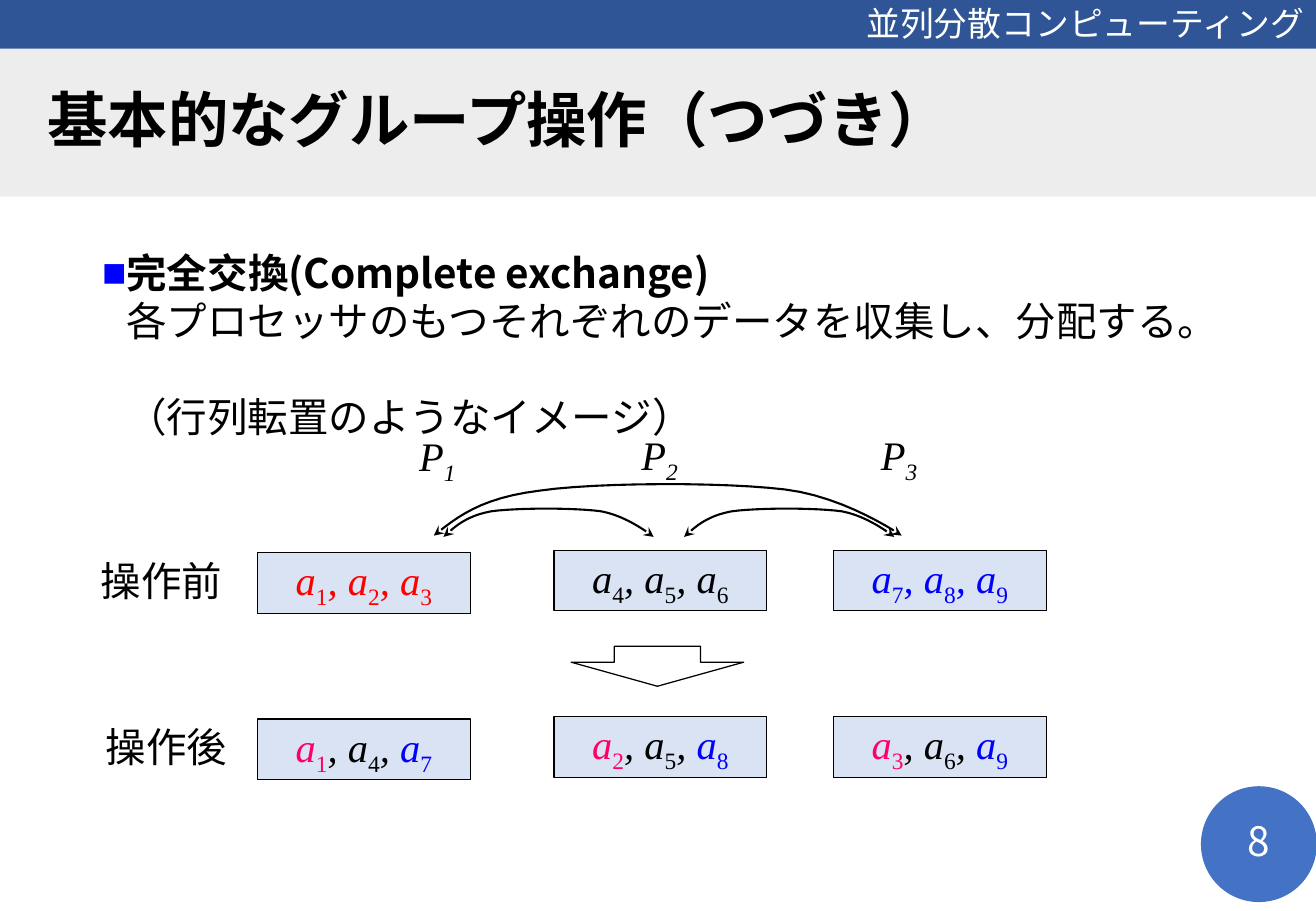
from lxml.etree import SubElement
from pptx import Presentation
from pptx.dml.color import RGBColor
from pptx.enum.shapes import MSO_SHAPE as SHAPE
from pptx.enum.text import MSO_ANCHOR as ANCHOR, MSO_AUTO_SIZE as FIT, PP_ALIGN as ALIGN
from pptx.oxml.ns import qn
from pptx.util import Inches, Pt

BLACK = RGBColor(0, 0, 0)
WHITE = RGBColor(255, 255, 255)
RED = RGBColor(255, 0, 0)
PINK = RGBColor(255, 0, 102)
BLUE = RGBColor(0, 0, 255)
NAVY = RGBColor(0x2F, 0x55, 0x97)
DISC = RGBColor(0x44, 0x72, 0xC4)
PALE = RGBColor(0xDA, 0xE3, 0xF3)
GREY = RGBColor(0xED, 0xED, 0xED)
SANS = "Noto Sans CJK JP"
SERIF = "Times New Roman"


def write(shape, parts, font=SERIF, size=24, color=BLACK, bold=False, italic=False,
          align=ALIGN.LEFT, anchor=ANCHOR.MIDDLE, wrap=True):
    """Fill the shape with (text, overrides) parts; "\\n" is a line break."""
    frame = shape.text_frame
    frame.word_wrap = wrap
    frame.auto_size = FIT.NONE
    frame.vertical_anchor = anchor
    para = frame.paragraphs[0]
    para.alignment = align
    for text, own in parts:
        if text == "\n":
            para.add_line_break()
            continue
        run = para.add_run()
        run.text = text
        run.font.name = font
        run.font.size = Pt(size)
        run.font.bold = own.get("bold", bold)
        run.font.italic = own.get("italic", italic)
        run.font.color.rgb = own.get("color", color)
        props = run._r.get_or_add_rPr()
        SubElement(props, qn("a:ea")).set("typeface", SANS)
        if own.get("sub"):
            props.set("baseline", "-25000")
    return para


def draw(kind, left, top, width, height, fill, line=None, weight=0.75):
    shape = slide.shapes.add_shape(
        kind, Inches(left), Inches(top), Inches(width), Inches(height))
    shape.shadow.inherit = False
    shape.fill.solid()
    shape.fill.fore_color.rgb = fill
    if line is None:
        shape.line.fill.background()
    else:
        shape.line.color.rgb = line
        shape.line.width = Pt(weight)
    return shape


deck = Presentation()
deck.slide_width, deck.slide_height = Inches(10.83), Inches(7.5)
slide = deck.slides.add_slide(deck.slide_layouts[1])
shapes = slide.shapes

# Page frame
draw(SHAPE.OVAL, 9.89, 6.48, 0.94, 0.94, DISC, DISC, 1)
head = draw(SHAPE.RECTANGLE, 0, -0.02, 10.83, 0.42, NAVY)
write(head, [("並列分散コンピューティング", {})], font="Lato", size=20,
      color=WHITE, align=ALIGN.RIGHT)
page = shapes.add_textbox(Inches(9.89), Inches(6.72), Inches(0.94), Inches(0.4))
write(page, [("8", {})], font=SANS, color=WHITE, align=ALIGN.CENTER)

# Title and body
title = shapes.title
title.left, title.top, title.width, title.height = map(Inches, (0, 0.4, 10.83, 1.22))
title.fill.solid()
title.fill.fore_color.rgb = GREY
title.text_frame.margin_left = Inches(0.39)
para = write(title, [("基本的なグループ操作（つづき）", {})], font=SANS, size=35.8,
             bold=True, wrap=False)
para.line_spacing = 0.9

body = slide.placeholders[1]
body.left, body.top, body.width, body.height = map(Inches, (0.74, 2, 9.34, 4.76))
para = write(body, [
    ("完全交換(Complete exchange)", {"bold": True}),
    ("\n", {}),
    ("各プロセッサのもつそれぞれのデータを収集し、分配する。", {}),
    ("\n", {}),
    ("（行列転置のようなイメージ）", {}),
], font=SANS, anchor=ANCHOR.TOP)
para.line_spacing = Pt(28.4)
para.space_before = Pt(8.1)
props = para._p.get_or_add_pPr()
props.set("marL", str(Inches(0.2)))
props.set("indent", str(-Inches(0.2)))
tint = SubElement(props, qn("a:buClr"))
SubElement(tint, qn("a:srgbClr")).set("val", str(BLUE))
SubElement(props, qn("a:buChar")).set("char", "■")

# Processor names
for num, (left, top) in enumerate([(3.35, 3.5), (5.18, 3.49), (7.15, 3.49)], 1):
    name = shapes.add_textbox(Inches(left), Inches(top), Inches(0.58), Inches(0.5))
    write(name, [("P", {}), (str(num), {"sub": True})], italic=True, anchor=ANCHOR.TOP)

# Data boxes: the second row is the transpose of the first
for row, (label, left, top) in enumerate([("操作前", 0.73, 4.53), ("操作後", 0.77, 5.9)]):
    tag = shapes.add_textbox(Inches(left), Inches(top - 0.01), Inches(1.21), Inches(0.51))
    write(tag, [(label, {})], wrap=False)
    for col, (x, drop) in enumerate([(2.12, 0.02), (4.56, 0), (6.86, 0)]):
        parts = []
        for item in range(3):
            if row == 0:
                num, color = 3 * col + item + 1, (RED, BLACK, BLUE)[col]
                comma = color
            else:
                num, color = 3 * item + col + 1, (PINK, BLACK, BLUE)[item]
                comma = BLACK
            if item:
                parts.append((", ", {"color": comma}))
            parts.append(("a", {"color": color}))
            parts.append((str(num), {"color": color, "italic": False, "sub": True}))
        box = draw(SHAPE.RECTANGLE, x, top + drop, 1.75, 0.5, PALE, BLACK)
        write(box, parts, italic=True, align=ALIGN.CENTER)

down = draw(SHAPE.DOWN_ARROW, 4.7, 5.32, 1.42, 0.33, WHITE, BLACK)
down.adjustments[0], down.adjustments[1] = 0.5, 0.6

# Exchange curves: a start point, then three points for each cubic segment
wide = [(3.57, 4.41), (3.76, 4.26), (3.95, 4.1), (4.44, 4.04), (4.92, 3.97),
        (5.96, 3.97), (6.46, 4.03), (6.96, 4.09), (7.42, 4.41), (7.42, 4.41)]
near = [(3.65, 4.42), (3.74, 4.34), (3.83, 4.25), (4.04, 4.21), (4.26, 4.18),
        (4.73, 4.18), (4.95, 4.21), (5.17, 4.25), (5.38, 4.42), (5.38, 4.42)]
far = [(x + 1.98, y) for x, y in near]
STEPS = 12
for curve in (wide, near, far):
    dots = []
    for seg in range(0, len(curve) - 1, 3):
        for step in range(1, STEPS + 1):
            t = step / STEPS
            rates = ((1 - t) ** 3, 3 * t * (1 - t) ** 2, 3 * t * t * (1 - t), t ** 3)
            dots.append(tuple(
                Inches(sum(rate * spot[axis] for rate, spot in zip(rates, curve[seg:seg + 4])))
                for axis in (0, 1)))
    pen = shapes.build_freeform(Inches(curve[0][0]), Inches(curve[0][1]))
    pen.add_line_segments(dots, close=False)
    arc = pen.convert_to_shape()
    arc.shadow.inherit = False
    arc.fill.background()
    arc.line.color.rgb = BLACK
    arc.line.width = Pt(1.25)
    for end in ("a:headEnd", "a:tailEnd"):
        SubElement(arc.line._get_or_add_ln(), qn(end)).set("type", "stealth")

deck.save("out.pptx")
